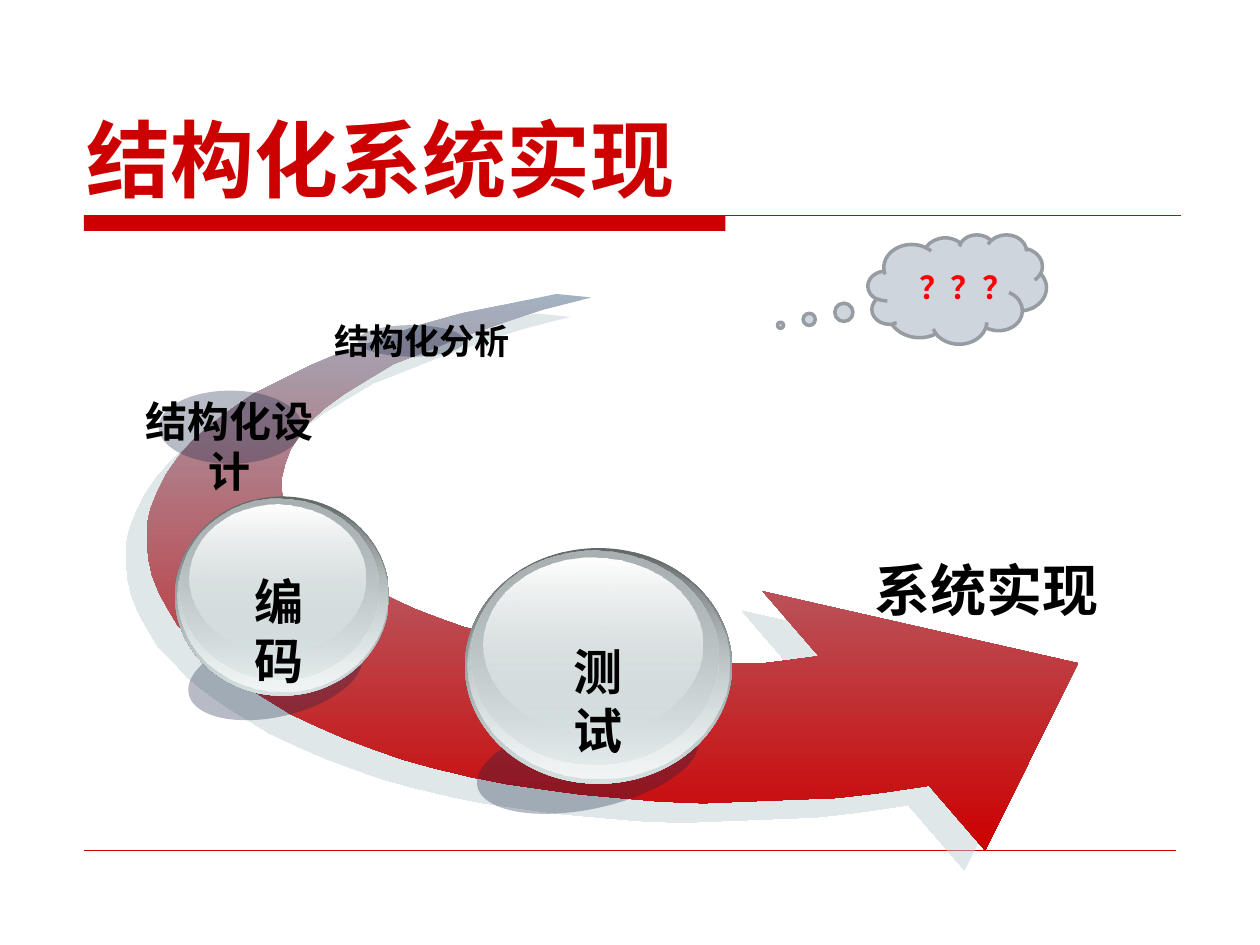
from lxml import etree
from pptx import Presentation
from pptx.dml.color import RGBColor
from pptx.enum.shapes import MSO_CONNECTOR, MSO_SHAPE
from pptx.enum.text import MSO_ANCHOR, MSO_AUTO_SIZE, PP_ALIGN
from pptx.oxml.ns import qn
from pptx.util import Pt

STRAIGHT = MSO_CONNECTOR.STRAIGHT
OVAL, BAR, CLOUD = MSO_SHAPE.OVAL, MSO_SHAPE.RECTANGLE, MSO_SHAPE.CLOUD_CALLOUT
MIDDLE, BOTTOM = MSO_ANCHOR.MIDDLE, MSO_ANCHOR.BOTTOM
FIXED, GROW = MSO_AUTO_SIZE.NONE, MSO_AUTO_SIZE.SHAPE_TO_FIT_TEXT
LEFT, CENTER = PP_ALIGN.LEFT, PP_ALIGN.CENTER

SANS = "Noto Sans CJK SC"
RED, SHADE = "CC0000", "0F2145"

ARROW_OUTLINE = [
    (318, 168), (289, 174), (264, 179), (239, 186), (217, 194), (196, 201),
    (177, 209), (161, 217), (145, 225), (132, 234), (120, 243), (110, 252),
    (102, 261), (95, 271), (90, 281), (86, 291), (84, 300), (84, 310),
    (85, 320), (87, 329), (91, 339), (96, 348), (102, 358), (110, 366),
    (119, 376), (129, 384), (140, 392), (153, 400), (166, 408), (181, 415),
    (197, 422), (213, 428), (230, 434), (248, 439), (269, 444), (289, 448),
    (310, 451), (332, 454), (354, 456), (377, 458), (402, 459), (426, 458),
    (452, 457), (478, 456), (504, 453), (531, 449), (563, 486), (616, 379),
    (436, 338), (468, 375), (453, 377), (437, 379), (421, 379), (405, 379),
    (389, 379), (372, 378), (356, 377), (340, 375), (324, 372), (308, 369),
    (293, 366), (278, 362), (264, 358), (250, 353), (237, 348), (224, 342),
    (213, 336), (202, 330), (193, 324), (184, 318), (177, 310), (171, 303),
    (166, 296), (163, 288), (161, 281), (161, 273), (163, 265), (166, 257),
    (171, 249), (177, 241), (186, 233), (197, 225), (210, 217), (225, 208),
    (243, 201), (263, 193), (286, 185), (310, 177), (338, 170),
]

SPHERE_LAYERS = [
    ((0, 0, 1, 1), ("636869", 100), ("D6E1E2", 100)),
    ((0.01, 0.01, 0.98, 0.97), ("D6E1E2", 0), ("F1F5F5", 100)),
    ((0.02, 0.01, 0.93, 0.91), ("AAB2B3", 100), ("D6E1E2", 48)),
    ((0.07, 0.04, 0.82, 0.74), ("FFFFFF", 100), ("D6E1E2", 38)),
]


def color(hex_value):
    return RGBColor.from_string(hex_value)


def points(box):
    return [Pt(length) for length in box]


def set_alpha(parent, percent):
    for srgb in parent.iter(qn("a:srgbClr")):
        etree.SubElement(srgb, qn("a:alpha"), val=str(percent * 1000))


def fill_solid(shape, hex_value, opacity=100):
    shape.fill.solid()
    shape.fill.fore_color.rgb = color(hex_value)
    if opacity < 100:
        set_alpha(shape.fill._xPr.find(qn("a:solidFill")), opacity)


def fill_downward(shape, *stops):
    shape.fill.gradient()
    shape.fill.gradient_angle = 270
    for stop, (hex_value, opacity) in zip(shape.fill.gradient_stops, stops):
        stop.color.rgb = color(hex_value)
        if opacity < 100:
            set_alpha(stop._gs, opacity)


def add_plain(shapes, preset, box):
    shape = shapes.add_shape(preset, *points(box))
    shape.shadow.inherit = False
    shape.line.fill.background()
    return shape


def add_rule(shapes, left, right, y, width):
    rule = shapes.add_connector(STRAIGHT, *points((left, y, right, y)))
    rule.line.color.rgb = color(RED)
    rule.line.width = Pt(width)
    etree.SubElement(rule._element.spPr, qn("a:effectLst"))


def write(shape, text, size, hex_value="000000", align=LEFT, face=SANS):
    paragraph = shape.text_frame.paragraphs[0]
    paragraph.text = text
    paragraph.alignment = align
    font = paragraph.font
    font.size = Pt(size)
    font.bold = True
    font.name = face
    font.color.rgb = color(hex_value)
    etree.SubElement(font._element, qn("a:ea"), typeface=face)


def add_label(shapes, text, box, size, align=CENTER, wrap=False):
    label = shapes.add_textbox(*points(box))
    label.text_frame.word_wrap = wrap
    label.text_frame.auto_size = GROW
    write(label, text, size, align=align)


def add_shade(shapes, box, rotation=0):
    shade = add_plain(shapes, OVAL, box)
    shade.rotation = rotation
    fill_solid(shade, SHADE, 30)


def add_sphere(slide, text, box, shade_box, rotation, label_box):
    shapes = slide.shapes.add_group_shape().shapes
    add_shade(shapes, shade_box, rotation)
    left, top, width, height = box
    for (dx, dy, across, down), upper, lower in SPHERE_LAYERS:
        layer = add_plain(shapes, OVAL, (left + dx * width, top + dy * height,
                                         across * width, down * height))
        fill_downward(layer, upper, lower)
    add_label(shapes, text, label_box, 28)


def add_arrow(slide):
    builder = slide.shapes.build_freeform(*ARROW_OUTLINE[0], scale=Pt(1))
    builder.add_line_segments(ARROW_OUTLINE[1:], close=True)
    arrow = builder.convert_to_shape()
    arrow.line.fill.background()
    fill_downward(arrow, ("A3B2C1", 100), (RED, 100))
    effects = etree.SubElement(arrow._element.spPr, qn("a:effectLst"))
    shadow = etree.SubElement(effects, qn("a:outerShdw"), blurRad="0",
                              dist=str(Pt(16.3)), dir=str(137 * 60000),
                              algn="ctr", rotWithShape="0")
    etree.SubElement(shadow, qn("a:srgbClr"), val="C1D1D3")
    set_alpha(shadow, 50)


def add_title(slide, text):
    title = slide.shapes.title
    title.left, title.top, title.width, title.height = points((42.5, 47, 630, 75.5))
    title.text_frame.vertical_anchor = BOTTOM
    title.text_frame.auto_size = FIXED
    write(title, text, 48, RED)


def add_thought(slide, text):
    cloud = add_plain(slide.shapes, CLOUD, (496, 134, 102, 62.5))
    cloud.adjustments[0], cloud.adjustments[1] = -0.99, 0.33
    fill_solid(cloud, "CED5DD")
    cloud.line.color.rgb = color("979CA2")
    cloud.line.width = Pt(2)
    cloud.text_frame.word_wrap = True
    cloud.text_frame.vertical_anchor = MIDDLE
    write(cloud, text, 18, "FF0000", CENTER, "DejaVu Sans")


def main():
    presentation = Presentation()
    presentation.slide_width, presentation.slide_height = Pt(720), Pt(540)
    slide = presentation.slides.add_slide(presentation.slide_layouts[5])
    shapes = slide.shapes

    fill_solid(add_plain(shapes, BAR, (48, 123, 366.5, 9)), RED)
    add_rule(shapes, 48, 675, 123, 0.75)
    add_rule(shapes, 48, 672, 486, 0.25)
    add_title(slide, "结构化系统实现")

    add_arrow(slide)
    add_label(shapes, "系统实现", (492.5, 314, 162, 46), 32, LEFT, True)
    add_sphere(slide, "测试", (265.7, 313.2, 152.6, 134.6),
               (271.4, 409.7, 128.9, 52.6), 347.9, (306.7, 362.9, 70, 41))
    add_sphere(slide, "编码", (100, 283.7, 122.4, 113.8),
               (106.6, 361.4, 101.5, 48.2), 347.1, (124.6, 323.3, 70, 41))
    add_shade(shapes, (90.7, 223.2, 82, 41.8))
    add_shade(shapes, (204.5, 185.8, 61, 18))
    add_label(shapes, "结构化设计", (64, 222.5, 134, 36), 24)
    add_label(shapes, "结构化分析", (173, 179.3, 136, 31.7), 20, wrap=True)
    add_thought(slide, "？？？")

    presentation.save("out.pptx")


if __name__ == "__main__":
    main()
